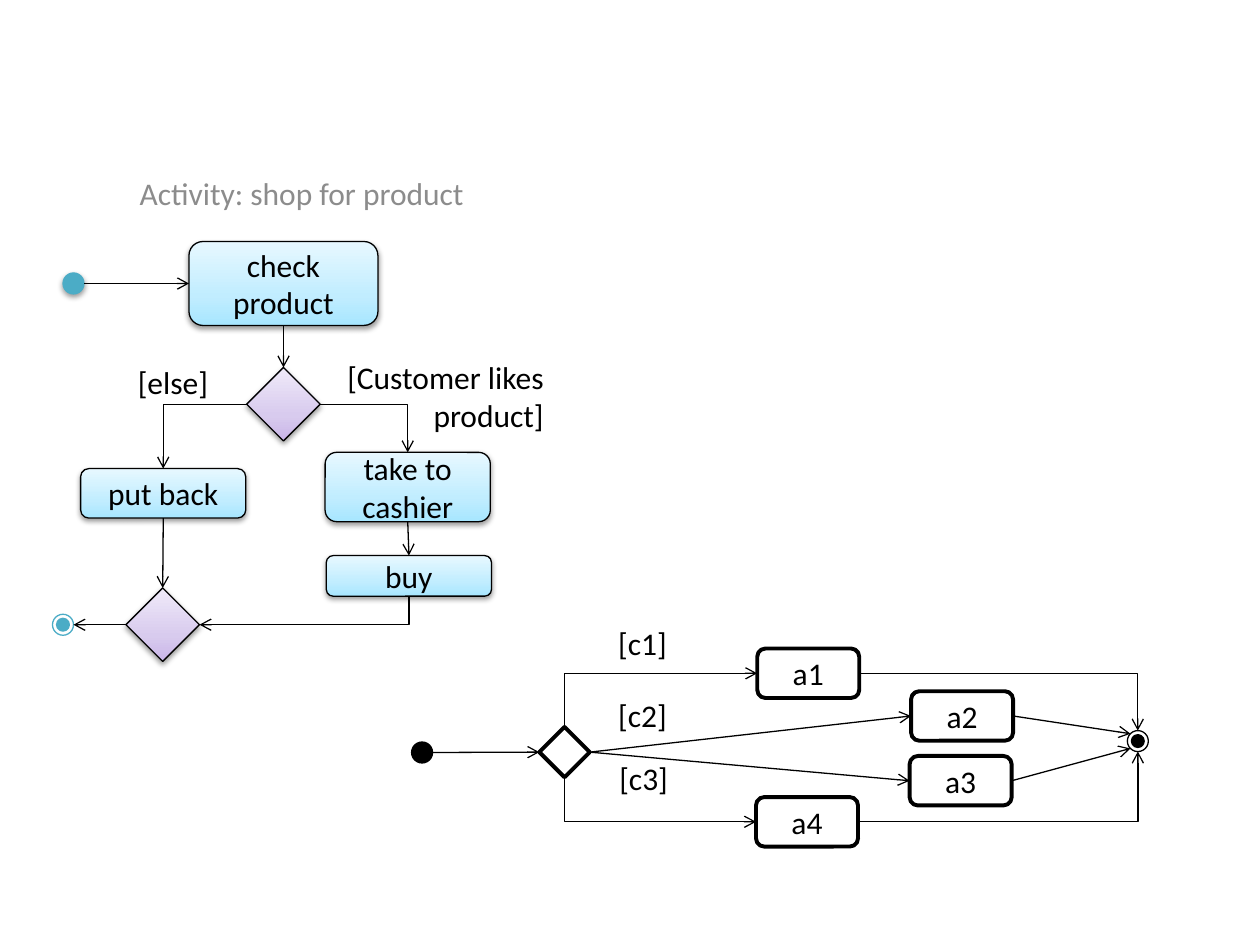
"""Build a slide with two activity diagrams."""
from copy import deepcopy

from pptx import Presentation
from pptx.dml.color import RGBColor
from pptx.enum.shapes import MSO_CONNECTOR, MSO_SHAPE
from pptx.enum.text import MSO_ANCHOR, MSO_AUTO_SIZE, PP_ALIGN
from pptx.oxml import parse_xml
from pptx.oxml.ns import nsdecls, qn
from pptx.oxml.xmlchemy import OxmlElement
from pptx.util import Pt

BLACK = RGBColor(0x00, 0x00, 0x00)
WHITE = RGBColor(0xFF, 0xFF, 0xFF)
GREY = RGBColor(0x8C, 0x8C, 0x8C)
TEAL = RGBColor(0x4B, 0xAC, 0xC6)
BLUES = [RGBColor(0xA7, 0xE6, 0xFF), RGBColor(0xC1, 0xED, 0xFF), RGBColor(0xE7, 0xF8, 0xFF)]
LILACS = [RGBColor(0xC9, 0xB5, 0xE8), RGBColor(0xD8, 0xCB, 0xEE), RGBColor(0xF0, 0xEA, 0xF9)]
STOPS = (0, 0.35, 1)

BOX, GATE, DOT = MSO_SHAPE.ROUNDED_RECTANGLE, MSO_SHAPE.FLOWCHART_DECISION, MSO_SHAPE.OVAL

TITLE = ("Activity: shop for product", (72, 95.8, 200.9, 28.8))
SHOP = {
    "check": (BOX, "check product", (108, 138, 108, 48)),
    "choice": (GATE, "", (141, 210, 42, 42)),
    "take": (BOX, "take to cashier", (185.8, 258.5, 94.4, 39.6)),
    "buy": (BOX, "buy", (186.5, 317.5, 94.4, 23.2)),
    "back": (BOX, "put back", (46.1, 267.8, 94.4, 28.3)),
    "merge": (GATE, "", (72, 336, 42, 42)),
}
CASES = {
    "split": (GATE, "", (308.2, 415.4, 28.8, 28.8)),
    "a1": (BOX, "a1", (432.7, 370.6, 58.3, 28.3)),
    "a2": (BOX, "a2", (520.6, 395, 58.3, 28.3)),
    "a3": (BOX, "a3", (519.8, 432, 58.3, 28.3)),
    "a4": (BOX, "a4", (432, 455.5, 58.3, 28.3)),
}
STARTS = {"start": (TEAL, (36, 156, 12, 12)), "begin": (BLACK, (235.2, 424, 12, 12))}
ENDS = {"end": (TEAL, (30, 351, 12, 12)), "stop": (BLACK, (644.2, 417.5, 12, 12))}
LABELS = [
    ("[Customer likes product]", (185.8, 201, 132, 51.1)),
    ("[else]", (54, 204, 72, 28.8)),
    ("[c1]", (340.6, 352.8, 47.5, 28.8)),
    ("[c2]", (340.6, 394.4, 47.5, 28.8)),
    ("[c3]", (341.3, 430, 47.5, 28.8)),
]
LINKS = [
    ("start", "right", "check", "left"),
    ("check", "bottom", "choice", "top"),
    ("choice", "right", "take", "top"),
    ("choice", "left", "back", "top"),
    ("take", "bottom", "buy", "top"),
    ("back", "bottom", "merge", "top"),
    ("buy", "bottom", "merge", "right"),
    ("merge", "left", "end", "right"),
    ("begin", "right", "split", "left"),
    ("split", "top", "a1", "left"),
    ("split", "right", "a2", "left"),
    ("split", "right", "a3", "left"),
    ("split", "bottom", "a4", "left"),
    ("a1", "right", "stop", "top"),
    ("a2", "right", "stop", "upper"),
    ("a3", "right", "stop", "lower"),
    ("a4", "right", "stop", "bottom"),
]
SIDES = {
    "left": (0, 0.5), "right": (1, 0.5), "top": (0.5, 0), "bottom": (0.5, 1),
    "upper": (0.15, 0.15), "lower": (0.15, 0.85),
}
UPRIGHT = ("top", "bottom")


def write(shape, text, align, color=BLACK):
    frame = shape.text_frame
    frame.text = text
    frame.word_wrap = True
    frame.auto_size = MSO_AUTO_SIZE.NONE
    para = frame.paragraphs[0]
    para.alignment = align
    font = para.font
    font.name, font.size, font.color.rgb = "Calibri", Pt(18), color
    return frame


def draw(shapes, kind, box, fill, line, width):
    shape = shapes.add_shape(kind, *map(Pt, box))
    shape.shadow.inherit = False
    shape.fill.solid()
    shape.fill.fore_color.rgb = fill
    shape.line.color.rgb = line
    shape.line.width = Pt(width)
    return shape


def shade(shape, colors):
    shape.fill.gradient()
    first = next(shape._element.spPr.iter(qn("a:gs")))
    first.addnext(deepcopy(first))
    shape.fill.gradient_angle = 90
    for stop, color, place in zip(shape.fill.gradient_stops, colors, STOPS):
        stop.color.rgb = color
        stop.position = place


def lift(shape):
    shape._element.spPr.find(qn("a:effectLst")).append(parse_xml(
        f'<a:outerShdw {nsdecls("a")} blurRad="{Pt(3.1)}" dist="{Pt(1.6)}" dir="5400000" '
        'rotWithShape="0"><a:srgbClr val="000000"><a:alpha val="38000"/></a:srgbClr>'
        '</a:outerShdw>'))


def spot(box, side):
    left, top, width, height = box
    across, down = SIDES[side]
    return Pt(left + across * width), Pt(top + down * height)


def link(shapes, tail, out, head, into):
    ends = [spot(tail, out), spot(head, into)]
    corner = (out in UPRIGHT) != (into in UPRIGHT)
    back = corner and out in UPRIGHT
    if back:
        ends.reverse()
    kind = MSO_CONNECTOR.ELBOW if corner else MSO_CONNECTOR.STRAIGHT
    line = shapes.add_connector(kind, *ends[0], *ends[1])
    line.line.color.rgb = BLACK
    line.line.width = Pt(0.75)
    props = line._element.spPr
    if corner:
        props.find(qn("a:prstGeom")).set("prst", "bentConnector2")
    tip = OxmlElement("a:headEnd" if back else "a:tailEnd")
    tip.set("type", "arrow")
    props.find(qn("a:ln")).append(tip)
    props.append(OxmlElement("a:effectLst"))


def main():
    deck = Presentation()
    deck.slide_width, deck.slide_height = Pt(720), Pt(540)
    slide = deck.slides.add_slide(deck.slide_layouts[5])
    shapes = slide.shapes
    text, box = TITLE
    title = shapes.title
    title.left, title.top, title.width, title.height = map(Pt, box)
    write(title, text, PP_ALIGN.CENTER, GREY).vertical_anchor = MSO_ANCHOR.MIDDLE

    spots = {}
    for nodes, width in ((SHOP, 0.75), (CASES, 2.25)):
        for name, (kind, text, box) in nodes.items():
            spots[name] = box
            shape = draw(shapes, kind, box, WHITE, BLACK, width)
            if nodes is SHOP:
                shade(shape, BLUES if kind == BOX else LILACS)
                lift(shape)
            if text:
                write(shape, text, PP_ALIGN.CENTER).vertical_anchor = MSO_ANCHOR.MIDDLE
    for name, (color, box) in STARTS.items():
        spots[name] = box
        shape = draw(shapes, DOT, box, color, color, 0.75)
        if color == TEAL:
            lift(shape)
    for name, (color, box) in ENDS.items():
        spots[name] = box
        group = shapes.add_group_shape().shapes
        draw(group, DOT, box, WHITE, color, 0.75)
        draw(group, DOT, (box[0] + 3, box[1] + 3, 6, 6), color, color, 2)
    for tail, out, head, into in LINKS:
        link(shapes, spots[tail], out, spots[head], into)
    for text, box in LABELS:
        write(shapes.add_textbox(*map(Pt, box)), text, PP_ALIGN.RIGHT)
    deck.save("out.pptx")


if __name__ == "__main__":
    main()
